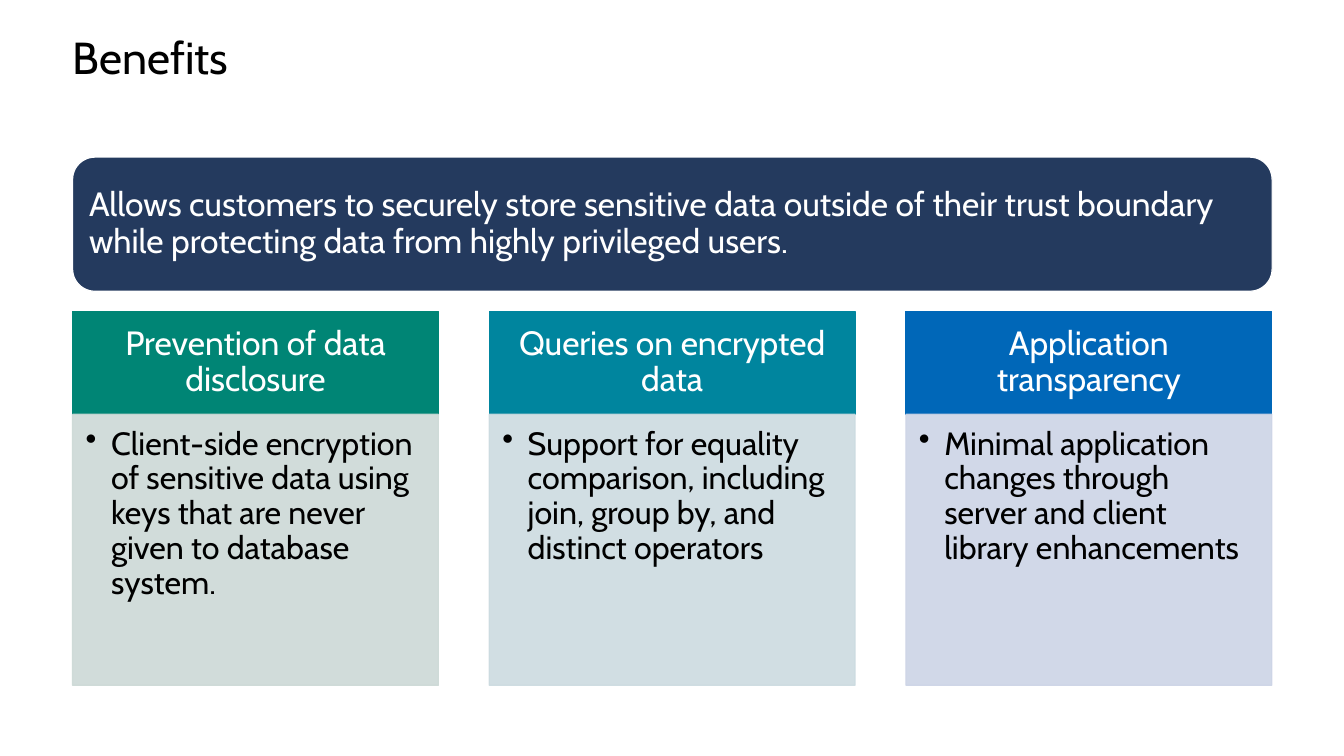
from dataclasses import dataclass

from lxml import etree
from pptx import Presentation
from pptx import util as u
from pptx.dml import color
from pptx.enum import shapes, text
from pptx.oxml import ns

COLORS = {
    "white": "FFFFFF", "black": "000000", "navy": "243A5E",
    "green": "008575", "teal": "00859E", "blue": "0067B8",
    "pale green": "CCD9D6", "pale teal": "CCDBE0", "pale blue": "CCD4E6",
}
FONT = "Cabin"
LEFT, WIDTH = 1.83, 30.23
COLUMN_WIDTH, COLUMN_PITCH = 9.22, 10.5
HEADER_TOP, HEADER_HEIGHT, BODY_HEIGHT = 7.85, 2.59, 6.83
BULLET_INDENT = 0.64


@dataclass
class Box:
    """A filled shape with one paragraph; lengths in cm, text in points."""
    words: str
    left: float
    top: float
    width: float
    height: float
    fill: str
    line: str | None = None
    ink: str = "white"
    size: int = 24
    margins: tuple[float, float, float, float] = (0, 0, 0, 0)
    anchor: text.MSO_ANCHOR = text.MSO_ANCHOR.MIDDLE
    align: text.PP_ALIGN = text.PP_ALIGN.LEFT
    preset: shapes.MSO_SHAPE = shapes.MSO_SHAPE.RECTANGLE
    opacity: int = 100
    bullet: bool = False


@dataclass
class Benefit:
    heading: str
    detail: str
    shade: str


BENEFITS = [
    Benefit("Prevention of data disclosure",
            "Client-side encryption of sensitive data using keys that are "
            "never given to database system.", "green"),
    Benefit("Queries on encrypted data",
            "Support for equality comparison, including join, group by, "
            "and distinct operators", "teal"),
    Benefit("Application transparency",
            "Minimal application changes through server and client library "
            "enhancements", "blue"),
]


def rgb(name: str) -> color.RGBColor:
    return color.RGBColor.from_string(COLORS[name])


def apply(target, values: dict) -> None:
    for name, value in values.items():
        setattr(target, name, value)


def set_opacity(sp, percent: int) -> None:
    for clr in sp._element.spPr.iter(ns.qn("a:srgbClr")):
        etree.SubElement(clr, ns.qn("a:alpha"), val=str(percent * 1000))


def add_bullet(p) -> None:
    pPr = p._p.get_or_add_pPr()
    indent = u.Cm(BULLET_INDENT)
    pPr.set("marL", str(indent))
    pPr.set("indent", str(-indent))
    etree.SubElement(pPr, ns.qn("a:buChar"), char="•")


def draw_box(slide, box: Box) -> None:
    place = (u.Cm(n) for n in (box.left, box.top, box.width, box.height))
    sp = slide.shapes.add_shape(box.preset, *place)
    sp.shadow.inherit = False

    # Fill and outline
    sp.fill.solid()
    sp.fill.fore_color.rgb = rgb(box.fill)
    if box.line:
        sp.line.color.rgb = rgb(box.line)
        sp.line.width = u.Pt(0.85)
    else:
        sp.line.fill.background()
    if box.opacity < 100:
        set_opacity(sp, box.opacity)

    # Text
    tf = sp.text_frame
    left, top, right, bottom = (u.Cm(m) for m in box.margins)
    apply(tf, {"word_wrap": True, "vertical_anchor": box.anchor,
               "margin_left": left, "margin_top": top,
               "margin_right": right, "margin_bottom": bottom})
    p = tf.paragraphs[0]
    apply(p, {"alignment": box.align, "line_spacing": 0.9})
    if box.bullet:
        add_bullet(p)
    r = p.add_run()
    r.text = box.words
    apply(r.font, {"name": FONT, "size": u.Pt(box.size)})
    r.font.color.rgb = rgb(box.ink)


def benefit_boxes(index: int, benefit: Benefit) -> list[Box]:
    left = LEFT + index * COLUMN_PITCH
    pale = f"pale {benefit.shade}"
    return [
        Box(benefit.heading, left, HEADER_TOP, COLUMN_WIDTH, HEADER_HEIGHT,
            benefit.shade, benefit.shade, margins=(0.48, 0.28, 0.48, 0.28),
            align=text.PP_ALIGN.CENTER),
        Box(benefit.detail, left, HEADER_TOP + HEADER_HEIGHT, COLUMN_WIDTH,
            BODY_HEIGHT, pale, pale, "black", 23, (0.33, 0.33, 0.46, 0.51),
            text.MSO_ANCHOR.TOP, opacity=90, bullet=True),
    ]


def main() -> None:
    prs = Presentation()
    prs.slide_width, prs.slide_height = u.Cm(33.87), u.Cm(19.05)
    slide = prs.slides.add_slide(prs.slide_layouts[6])

    # Title
    boxes = [Box("Benefits", LEFT, 0.89, WIDTH, 1.27, "white", ink="black",
                 size=32, anchor=text.MSO_ANCHOR.TOP)]

    # Benefit columns
    for index, benefit in enumerate(BENEFITS):
        boxes += benefit_boxes(index, benefit)

    # Summary banner
    boxes.append(Box(
        "Allows customers to securely store sensitive data outside of their "
        "trust boundary while protecting data from highly privileged users.",
        LEFT, 3.96, WIDTH, 3.38, "navy", "white", margins=(0.25,) * 4,
        preset=shapes.MSO_SHAPE.ROUNDED_RECTANGLE))

    for box in boxes:
        draw_box(slide, box)
    prs.save("out.pptx")


if __name__ == "__main__":
    main()
